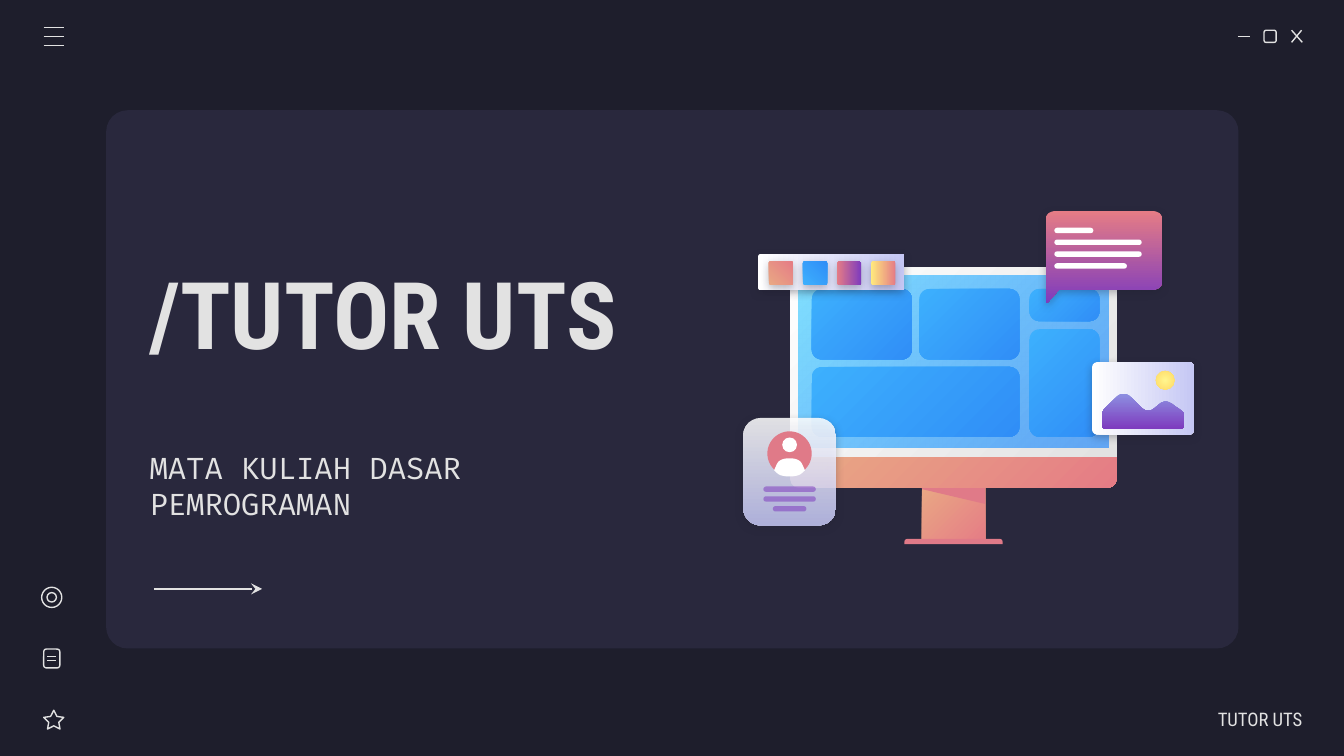
"""Build the opening slide of a programming tutorial, measured in hundredths of the slide width."""
from lxml import etree
from pptx import Presentation
from pptx import util as u
from pptx.dml.color import RGBColor
from pptx.enum import shapes, text
from pptx.oxml.ns import qn

WIDTH = u.Inches(10)
HEIGHT = WIDTH * 9 // 16
NIGHT = RGBColor(0x1E, 0x1E, 0x2C)
PANEL = RGBColor(0x29, 0x28, 0x3D)
PALE = RGBColor(0xE2, 0xE2, 0xE2)
WHITE = RGBColor(0xFF, 0xFF, 0xFF)
LILAC = RGBColor(0xC5, 0xC7, 0xF4)
PERIWINKLE = RGBColor(0x8D, 0x90, 0xE1)
PURPLE = RGBColor(0x7E, 0x3B, 0xBE)
ROSE = RGBColor(0xE0, 0x7A, 0x88)
CORAL = RGBColor(0xE5, 0x7C, 0x85)
PEACH = RGBColor(0xE9, 0xA9, 0x84)
LEMON = RGBColor(0xFF, 0xF6, 0x8E)
YELLOW = RGBColor(0xFF, 0xEA, 0x7D)
GOLD = RGBColor(0xFF, 0xD9, 0x66)
ICE = RGBColor(0x80, 0xDF, 0xFF)
SKY = RGBColor(0x3D, 0xB0, 0xFD)
AZURE = RGBColor(0x30, 0x8E, 0xF7)
BLUE = RGBColor(0x31, 0x8F, 0xFA)
KIND = shapes.MSO_SHAPE


def share(*lengths):
    """Turn hundredths of the slide width into EMU."""
    return [round(WIDTH * length / 100) for length in lengths]


def add_alpha(parent, percent):
    """Make every colour below an element translucent."""
    for colour in parent.iter(qn("a:srgbClr")):
        etree.SubElement(colour, qn("a:alpha"), val=str(percent * 1000))


def paint(shape, colours, angle=0, alpha=100, shadow=False):
    """Fill a shape with one colour or with a gradient; angle None is radial."""
    shape.shadow.inherit = False
    shape.line.fill.background()
    properties = shape._element.spPr
    if isinstance(colours, RGBColor):
        shape.fill.solid()
        shape.fill.fore_color.rgb = colours
    else:
        shape.fill.gradient()
        shape.fill.gradient_angle = (360 - (angle or 0)) % 360
        for stop, colour, position in zip(shape.fill.gradient_stops, colours, (0, 1)):
            stop.color.rgb, stop.position = colour, position
        if angle is None:
            linear = properties.find(".//" + qn("a:lin"))
            radial = etree.Element(qn("a:path"), path="circle")
            etree.SubElement(radial, qn("a:fillToRect"), dict.fromkeys("ltrb", "50000"))
            linear.getparent().replace(linear, radial)
    if alpha < 100:
        add_alpha(properties, alpha)
    if shadow:
        outer = etree.SubElement(properties.find(qn("a:effectLst")), qn("a:outerShdw"),
                                 blurRad="57150", dist="19050", dir="5400000", algn="bl")
        etree.SubElement(outer, qn("a:srgbClr"), val=str(NIGHT))
        add_alpha(outer, 30)


def add_shape(page, kind, rect, radius=None):
    """Add a preset shape, with an absolute radius if it has round corners."""
    shape = page.shapes.add_shape(kind, *share(*rect))
    if radius is not None:
        shape.adjustments[0] = radius / min(rect[2:])
    return shape


def add_block(page, rect, radius, colours, *style, **options):
    """Add a filled rectangle with round corners."""
    paint(add_shape(page, KIND.ROUNDED_RECTANGLE, rect, radius), colours, *style, **options)


def add_pill(page, left, top, width, height, colour, alpha=100):
    """Add a bar with fully round ends."""
    add_block(page, (left, top, width, height), height / 2, colour, alpha=alpha)


def add_disc(page, centre_x, centre_y, size, colours, angle=0):
    """Add a filled circle around a centre."""
    rect = (centre_x - size / 2, centre_y - size / 2, size, size)
    paint(add_shape(page, KIND.OVAL, rect), colours, angle)


def add_outline(page, kind, rect, radius=None):
    """Add an unfilled icon shape with a thin line."""
    shape = add_shape(page, kind, rect, radius)
    shape.shadow.inherit = False
    shape.fill.background()
    shape.line.color.rgb, shape.line.width = PALE, u.Pt(0.75)
    return shape


def add_line(page, *ends, arrow=False):
    """Add a thin straight line, with an arrowhead on request."""
    line = page.shapes.add_connector(shapes.MSO_CONNECTOR.STRAIGHT, *share(*ends))
    line.line.color.rgb, line.line.width = PALE, u.Pt(0.75)
    if arrow:
        etree.SubElement(line.line._get_or_add_ln(), qn("a:tailEnd"), type="stealth")
    etree.SubElement(line._element.spPr, qn("a:effectLst"))


def round_corner(before, corner, after, steps=8):
    """Return the points of a curve that cuts a corner of (x, y, radius)."""
    x, y, radius = corner
    if not radius:
        return [(x, y)]
    ends = []
    for other in (before, after):
        dx, dy = other[0] - x, other[1] - y
        part = min(0.5, radius / (dx * dx + dy * dy) ** 0.5)
        ends.append((x + dx * part, y + dy * part))
    (ax, ay), (bx, by) = ends
    curve = []
    for step in range(steps + 1):
        t = step / steps
        s = 1 - t
        curve.append((s * s * ax + 2 * s * t * x + t * t * bx,
                      s * s * ay + 2 * s * t * y + t * t * by))
    return curve


def add_polygon(page, corners, colours, *style, **options):
    """Add a filled polygon whose corners each have a radius."""
    points = []
    for index, corner in enumerate(corners):
        points += round_corner(corners[index - 1], corner, corners[(index + 1) % len(corners)])
    first, *others = [tuple(share(*point)) for point in points]
    builder = page.shapes.build_freeform(*first)
    builder.add_line_segments(others, close=True)
    paint(builder.convert_to_shape(), colours, *style, **options)


def write(box, rect, words, font, size, bold=False, align=text.PP_ALIGN.LEFT, right=1):
    """Place a text holder and write one run in it."""
    box.left, box.top, box.width, box.height = share(*rect)
    frame = box.text_frame
    frame.word_wrap, frame.auto_size = True, text.MSO_AUTO_SIZE.NONE
    frame.vertical_anchor = text.MSO_ANCHOR.MIDDLE
    frame.margin_left, frame.margin_top, frame.margin_right, frame.margin_bottom = share(1, 1, right, 1)
    para = frame.paragraphs[0]
    para.alignment = align
    span = para.add_run()
    span.text = words
    span.font.name, span.font.size, span.font.bold = font, u.Pt(size), bold
    span.font.color.rgb = PALE


def draw_window(page):
    """Draw the panel and the icons of the window frame."""
    add_block(page, (7.9, 8.2, 84.25, 40.05), 1.6, PANEL)
    add_line(page, 92.1, 2.7, 93, 2.7)
    add_outline(page, KIND.ROUNDED_RECTANGLE, (94.05, 2.25, 0.9, 0.9), 0.15)
    add_line(page, 96.1, 2.25, 96.9, 3.15)
    add_line(page, 96.85, 2.25, 96.1, 3.15)
    for row in range(3):
        y = 2.05 + row * 0.67
        add_line(page, 3.25, y, 4.75, y)
    star = add_outline(page, KIND.STAR_5_POINT, (3.25, 52.85, 1.5, 1.4))
    star.adjustments[0] = 0.25
    add_outline(page, KIND.ROUNDED_RECTANGLE, (3.25, 48.3, 1.2, 1.4), 0.2)
    for y in (48.85, 49.15):
        add_line(page, 3.5, y, 4.2, y)
    for inset in (0, 0.4):
        size = 1.5 - 2 * inset
        add_outline(page, KIND.OVAL, (3.1 + inset, 43.7 + inset, size, size))


def draw_monitor(page):
    """Draw the monitor with its stand and the tiles on its screen."""
    paint(add_shape(page, KIND.RECTANGLE, (68.6, 36.1, 4.7, 4.3)), (PEACH, CORAL), 45)
    paint(add_shape(page, KIND.ROUND_2_SAME_RECTANGLE, (67.3, 40.1, 7.3, 0.4), 0.2), ROSE)
    add_polygon(page, [(68.6, 36.1, 0), (68.6, 36.4, 0), (73.3, 37.5, 0), (73.3, 36.1, 0)], ROSE)
    chin = add_shape(page, KIND.ROUND_2_SAME_RECTANGLE, (58.8, 33.9, 24.3, 2.4), 0)
    chin.adjustments[1] = 0.28
    paint(chin, (PEACH, CORAL), 45)
    paint(add_shape(page, KIND.ROUND_2_SAME_RECTANGLE, (58.8, 19.9, 24.3, 14.1), 0.6), (WHITE, PALE), 45)
    screen = add_shape(page, KIND.RECTANGLE, (59.4, 20.5, 23.1, 12.8))
    paint(screen, (ICE, BLUE), 45)
    add_alpha(screen.fill._xPr.findall(".//" + qn("a:gs"))[1], 72)
    for tile in ((60.4, 21.5, 7.45, 5.25), (60.4, 27.3, 15.45, 5.2), (68.4, 21.5, 7.45, 5.25),
                 (76.6, 21.5, 5.2, 2.4), (76.6, 24.5, 5.2, 8)):
        add_block(page, tile, 0.75, (SKY, AZURE), 45)


def draw_bubble(page):
    """Draw the speech bubble with its four lines."""
    add_polygon(page, [(77.8, 15.7, 0.8), (86.5, 15.7, 0.8), (86.5, 21.55, 0.8),
                       (78.8, 21.55, 0), (77.8, 22.7, 0.3)], (CORAL, PURPLE), 90, shadow=True)
    for row, width in enumerate((2.9, 6.5, 6.5, 5.4)):
        add_pill(page, 78.45, 16.95 + row * 0.88, width, 0.4, WHITE)


def draw_profile(page):
    """Draw the translucent profile card."""
    add_block(page, (55.3, 31.1, 6.9, 8), 1.3, (WHITE, LILAC), 90, 86, True)
    add_disc(page, 58.75, 33.75, 3.3, ROSE)
    add_disc(page, 58.75, 33.1, 1.1, WHITE)
    add_polygon(page, [(57.6, 35, 0), (58, 34.1, 0.8), (59.5, 34.1, 0.8), (59.9, 35, 0),
                       (59.4, 35.45, 0.6), (58.1, 35.45, 0.6)], WHITE)
    for row, width in enumerate((3.9, 3.9, 2.5)):
        add_pill(page, 58.75 - width / 2, 36.2 + row * 0.73, width, 0.4, PURPLE, 54)


def draw_photo(page):
    """Draw the photo card with hills and a sun."""
    add_block(page, (81.25, 26.95, 7.6, 5.4), 0.4, (WHITE, LILAC), 0, shadow=True)
    add_polygon(page, [(82, 30.6, 0.3), (83.6, 29, 0.8), (85.4, 30.8, 0.7), (86.7, 29.7, 0.6),
                       (88.1, 30.7, 0.2), (88.1, 31.9, 0.3), (82, 31.9, 0.3)],
                (PERIWINKLE, PURPLE), 90)
    add_disc(page, 86.7, 28.3, 1.4, (LEMON, GOLD), None)


def draw_swatches(page):
    """Draw the strip with four colour swatches."""
    add_block(page, (56.4, 18.9, 10.9, 2.7), 0.2, (WHITE, LILAC), 0, shadow=True)
    swatches = ((PEACH, CORAL, 315), (SKY, AZURE, 315), (CORAL, PURPLE, 0), (YELLOW, CORAL, 0))
    for column, (start, end, angle) in enumerate(swatches):
        rect = (57.2 + column * 2.54, 19.45, 1.8, 1.75)
        add_block(page, rect, 0.13, (start, end), angle, shadow=True)


def main():
    """Build and save the deck."""
    deck = Presentation()
    deck.slide_width, deck.slide_height = WIDTH, HEIGHT
    page = deck.slides.add_slide(deck.slide_layouts[5])
    page.background.fill.solid()
    page.background.fill.fore_color.rgb = NIGHT
    draw_window(page)
    write(page.shapes.title, (10.1, 14.45, 44.7, 17.6), "/TUTOR UTS", "Roboto Condensed", 50, True)
    page.shapes._spTree.append(page.shapes.title._element)
    subtitle, footer = [page.shapes.add_textbox(0, 0, 0, 0) for _ in range(2)]
    write(subtitle, (10.15, 33.85, 32.4, 4.6), "MATA KULIAH DASAR PEMROGRAMAN", "Fira Code", 16)
    write(footer, (85.2, 52, 11.7, 3), "TUTOR UTS", "Roboto Condensed", 10,
          align=text.PP_ALIGN.RIGHT, right=0)
    for draw in (draw_monitor, draw_bubble, draw_profile, draw_photo, draw_swatches):
        draw(page)
    add_line(page, 11.45, 43.82, 19.5, 43.82, arrow=True)
    deck.save("out.pptx")


if __name__ == "__main__":
    main()
